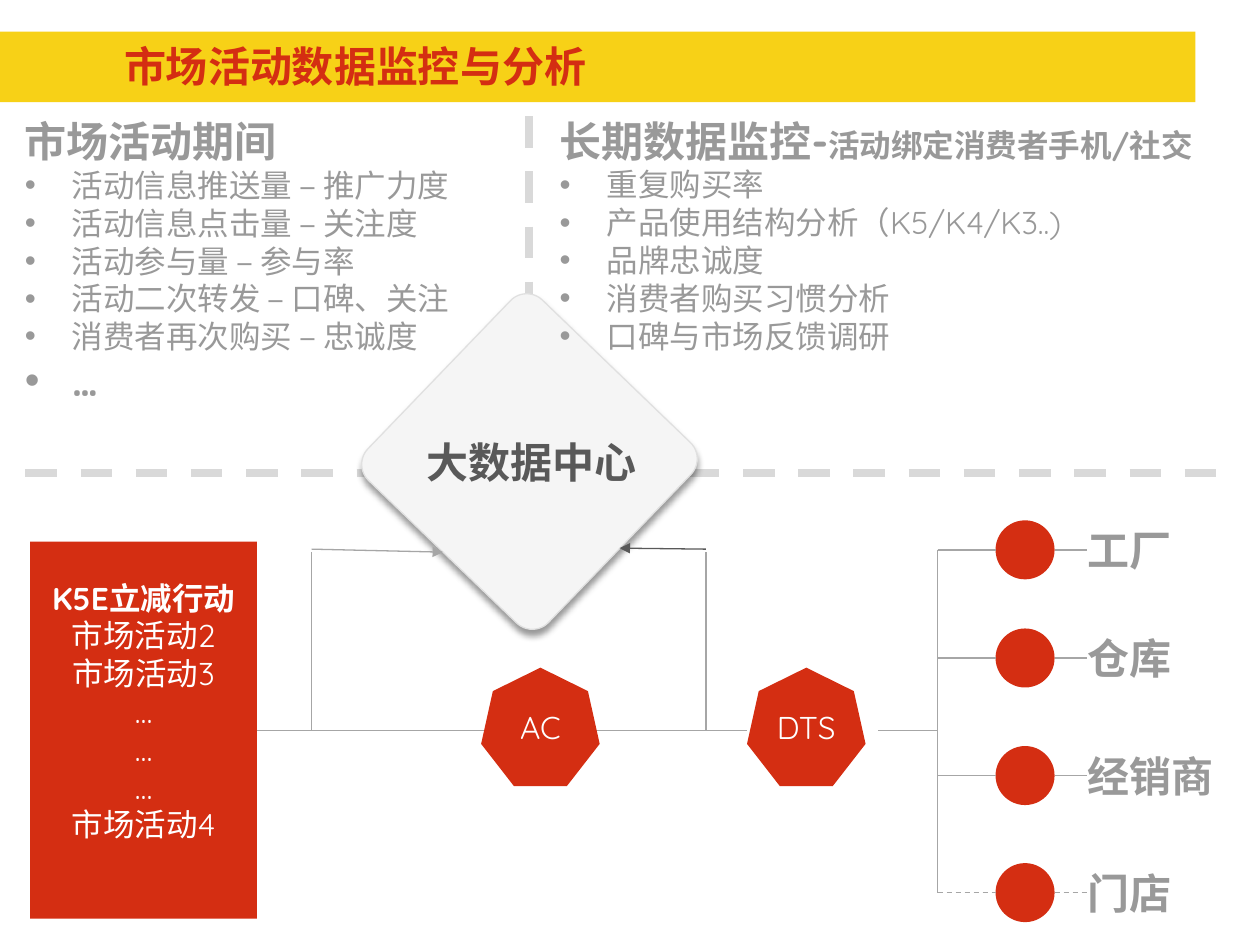
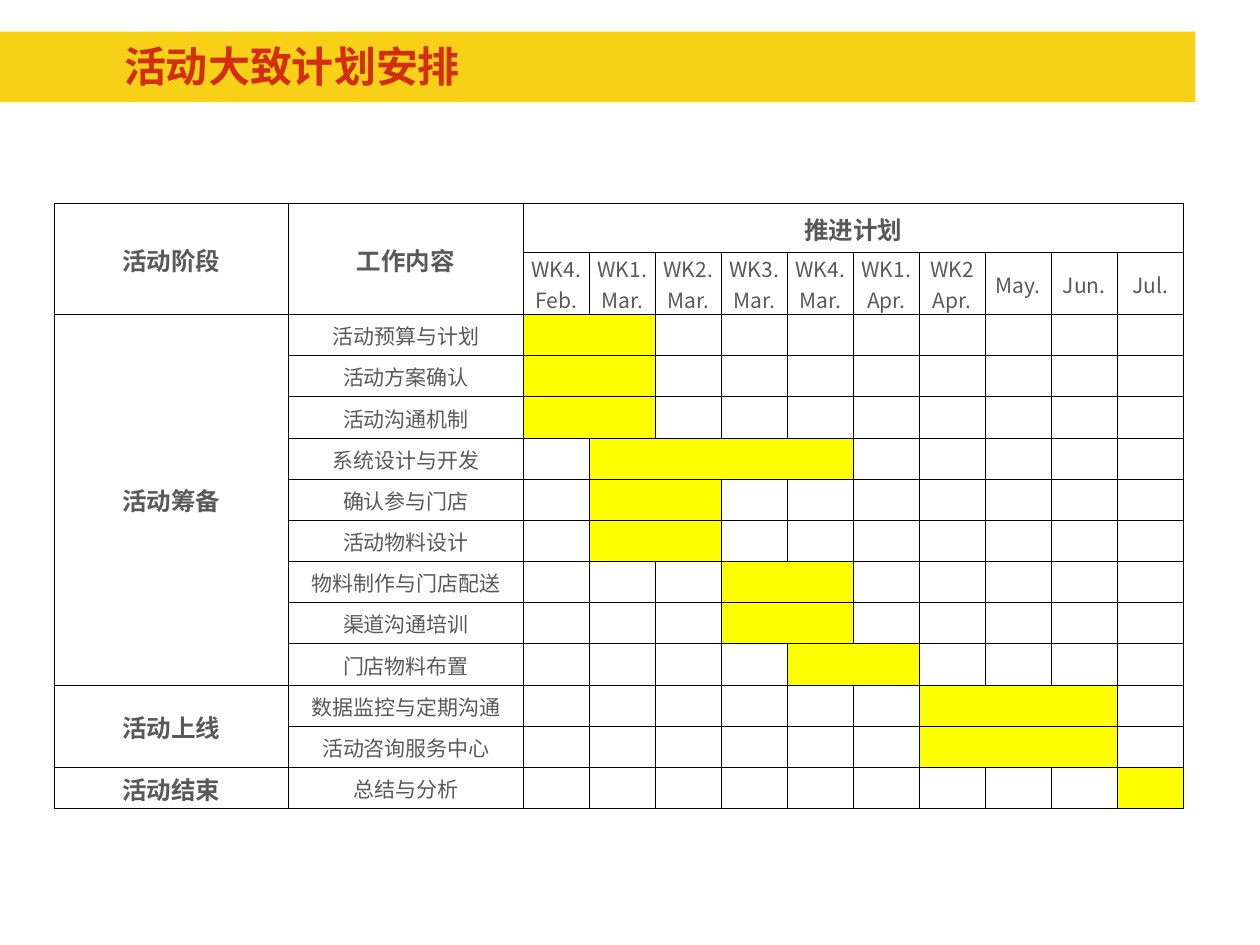
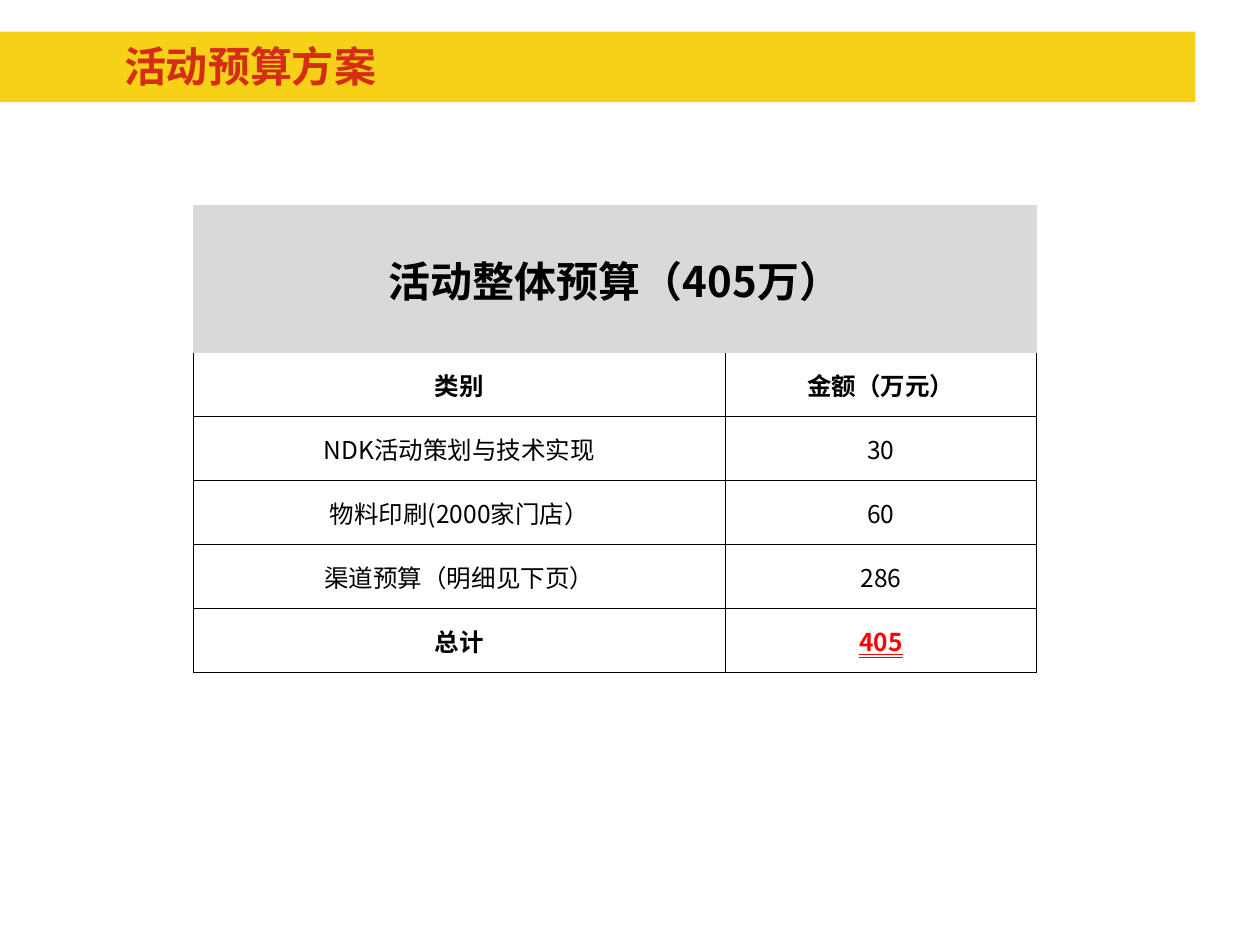
import collections

import pptx
import pptx.dml.color
import pptx.enum.dml
import pptx.enum.shapes
import pptx.enum.text
import pptx.oxml.ns
import pptx.oxml.xmlchemy
import pptx.util

Cm, Pt = pptx.util.Cm, pptx.util.Pt
SHAPE = pptx.enum.shapes.MSO_SHAPE
ALIGN = pptx.enum.text.PP_ALIGN
ANCHOR = pptx.enum.text.MSO_ANCHOR
AUTO = pptx.enum.text.MSO_AUTO_SIZE
UNDERLINE = pptx.enum.text.MSO_UNDERLINE

RED, YELLOW, WHITE, BLACK = "D42E12", "F7D117", "FFFFFF", "000000"
DARK, MID, RULE, PALE = "595959", "999999", "A6A6A6", "D9D9D9"
BAR, ALERT = "FFFF00", "FF0000"
DISPLAY, CJK = "Quicksand", "Noto Sans CJK SC"
TITLE_ONLY, TWO_CONTENT = 5, 3
NO_GRID = "{2D5ABB26-0587-4C30-8999-92F81FD0307C}"

Box = collections.namedtuple("Box", "left top width height")


# Shared helpers

def rgb(value):
    return pptx.dml.color.RGBColor.from_string(value)


def add_xml(parent, tag, index=None, **attributes):
    child = pptx.oxml.xmlchemy.OxmlElement(tag)
    for key, value in attributes.items():
        child.set(key, str(value))
    parent.insert(len(parent) if index is None else index, child)
    return child


def place(shape, box):
    shape.left, shape.top, shape.width, shape.height = map(Cm, box)


def add_run(paragraph, text, size, color, bold=False, font=DISPLAY):
    run = paragraph.add_run()
    run.text = text
    run.font.size, run.font.bold, run.font.name = Pt(size), bold, font
    run.font.color.rgb = rgb(color)
    add_xml(run.font._element, "a:ea", typeface=CJK)
    return run


def add_paragraph(frame, index):
    return frame.add_paragraph() if index else frame.paragraphs[0]


def clear_margins(frame):
    frame.margin_left = frame.margin_top = 0
    frame.margin_right = frame.margin_bottom = 0
    frame.word_wrap = True


def add_solid(slide, kind, box, fill, outline=None):
    solid = slide.shapes.add_shape(kind, *map(Cm, box))
    solid.shadow.inherit = False
    solid.fill.solid()
    solid.fill.fore_color.rgb = rgb(fill)
    if outline:
        solid.line.color.rgb = rgb(outline)
        solid.line.width = Pt(0.75)
    else:
        solid.line.fill.background()
    return solid


def add_line(slide, x1, y1, x2, y2, color=RULE, weight=0.75, dash=False, arrow=False):
    line = slide.shapes.add_connector(
        pptx.enum.shapes.MSO_CONNECTOR.STRAIGHT, Cm(x1), Cm(y1), Cm(x2), Cm(y2))
    line.line.color.rgb = rgb(color)
    line.line.width = Pt(weight)
    if dash:
        line.line.dash_style = pptx.enum.dml.MSO_LINE.DASH
    if arrow:
        add_xml(line.line._get_or_add_ln(), "a:tailEnd", type="triangle")
    add_xml(line._element.spPr, "a:effectLst")
    return line


def add_label(slide, box, text, color):
    label = slide.shapes.add_textbox(*map(Cm, box))
    clear_margins(label.text_frame)
    label.text_frame.auto_size = AUTO.SHAPE_TO_FIT_TEXT
    add_run(label.text_frame.paragraphs[0], text, 24, color, True)
    return label


def add_band(master, slide):
    """Draw the title band and hand it to the master, behind its placeholders."""
    band = add_solid(slide, SHAPE.RECTANGLE, Box(0, 0.64, 24.1, 1.42), YELLOW)
    master.shapes.element.insert(2, band.element)


def add_titled_slide(deck, layout, text):
    slide = deck.slides.add_slide(deck.slide_layouts[layout])
    title = slide.shapes.title
    place(title, Box(2.5, 0.81, 21.39, 1.17))
    frame = title.text_frame
    clear_margins(frame)
    frame.auto_size = AUTO.NONE
    frame.vertical_anchor = ANCHOR.TOP
    frame.paragraphs[0].alignment = ALIGN.LEFT
    add_run(frame.paragraphs[0], text, 24, RED, True)
    return slide


# Monitoring slide

def fill_list(slide, placeholder_index, box, paragraphs):
    """Each paragraph is a list of (text, size, bold); the first is the heading."""
    holder = slide.placeholders[placeholder_index]
    place(holder, box)
    slide.shapes.element.append(holder.element)
    frame = holder.text_frame
    clear_margins(frame)
    frame.auto_size = AUTO.SHAPE_TO_FIT_TEXT
    for index, runs in enumerate(paragraphs):
        paragraph = add_paragraph(frame, index)
        props = paragraph._p.get_or_add_pPr()
        indent = Cm(0.95) if index else 0
        props.set("marL", str(indent))
        props.set("indent", str(-indent))
        if index:
            add_xml(props, "a:buFont", typeface="Arial")
            add_xml(props, "a:buChar", char="•")
        else:
            add_xml(props, "a:buNone")
        paragraph.space_before = Pt(0)
        for text, size, bold in runs:
            add_run(paragraph, text, size, MID, bold)


def draw_campaigns(slide, box, campaigns):
    panel = add_solid(slide, SHAPE.RECTANGLE, box, RED)
    frame = panel.text_frame
    frame.word_wrap = True
    frame.vertical_anchor = ANCHOR.MIDDLE
    frame.margin_bottom = Cm(0.9)
    for index, campaign in enumerate(campaigns):
        paragraph = add_paragraph(frame, index)
        paragraph.alignment = ALIGN.CENTER
        add_run(paragraph, campaign, 18, WHITE, index == 0)
    return panel


def draw_hub(slide, box):
    diamond = add_solid(slide, SHAPE.ROUNDED_RECTANGLE, box, "F5F5F5", "E0E0E0")
    diamond.adjustments[0] = 0.09
    diamond.rotation = 43.9
    effects = diamond._element.spPr.find(pptx.oxml.ns.qn("a:effectLst"))
    shadow = add_xml(effects, "a:outerShdw", blurRad=Pt(4), dist=Pt(3),
                     dir=90 * 60000, rotWithShape=0)
    add_xml(add_xml(shadow, "a:srgbClr", val=BLACK), "a:alpha", val=40000)
    add_label(slide, Box(box.left + 0.44, box.top + 2.03, 4.8, 1.02), "大数据中心", DARK)


def draw_systems(slide, box):
    for name, offset in (("DTS", box.width - box.height), ("AC", 0)):
        system = add_solid(slide, SHAPE.HEPTAGON,
                           Box(box.left + offset, box.top, box.height, box.height), RED)
        frame = system.text_frame
        frame.vertical_anchor = ANCHOR.MIDDLE
        frame.paragraphs[0].alignment = ALIGN.CENTER
        add_run(frame.paragraphs[0], name, 18, WHITE)


def draw_channels(slide, box):
    """Trunk on the left, one node and label for each channel."""
    channels = (("工厂", 0), ("仓库", 2.18), ("经销商", 4.55), ("门店", 6.91))
    node_size, label_height = 1.19, 1.02
    trunk, node_left = box.left + 1.2, box.left + 2.37
    first = box.top + node_size / 2
    add_line(slide, trunk, first, trunk, first + channels[-1][1])
    add_line(slide, box.left, box.top + 4.24, trunk, box.top + 4.24)
    for name, offset in channels:
        middle = first + offset
        dashed = name == "门店"
        add_solid(slide, SHAPE.OVAL,
                  Box(node_left, box.top + offset, node_size, node_size), RED)
        label = add_label(slide, Box(box.left + 4.22, middle - label_height / 2,
                                     2.95, label_height), name, MID)
        add_line(slide, trunk, middle, node_left, middle, dash=dashed)
        link = add_line(slide, node_left + node_size, middle, box.left + 4.22, middle,
                        dash=dashed)
        link.end_connect(label, 1)


def draw_feeds(slide, box):
    """Two risers from the rail, each with an arrow into the hub."""
    right, bottom = box.left + box.width, box.top + box.height
    for riser in (box.left, right):
        add_line(slide, riser, bottom, riser, box.top + 0.06)
    add_line(slide, box.left, box.top, box.left + 2.65, box.top + 0.06, arrow=True)
    add_line(slide, right, box.top, right - 1.74, box.top - 0.02, DARK, arrow=True)


def build_monitoring(deck):
    slide = add_titled_slide(deck, TWO_CONTENT, "市场活动数据监控与分析")
    add_line(slide, 10.67, 2.34, 10.67, 6.12, PALE, 4.5, dash=True)
    campaigns = draw_campaigns(slide, Box(0.61, 10.92, 4.57, 7.6), (
        "K5E立减行动", "市场活动2", "市场活动3", "…", "…", "…", "市场活动4"))
    rail = add_line(slide, 5.18, 14.72, 15.06, 14.72)
    rail.begin_connect(campaigns, 3)
    add_line(slide, 0.51, 9.53, 24.89, 9.53, PALE, 4.5, dash=True)
    draw_hub(slide, Box(8.15, 6.78, 5.05, 5.05))
    draw_systems(slide, Box(9.7, 13.46, 7.75, 2.39))
    draw_channels(slide, Box(17.7, 10.49, 7.17, 8.1))
    draw_feeds(slide, Box(6.28, 11.07, 7.95, 3.65))

    campaign_metrics = ("活动信息推送量 – 推广力度", "活动信息点击量 – 关注度",
                        "活动参与量 – 参与率", "活动二次转发 – 口碑、关注",
                        "消费者再次购买 – 忠诚度")
    long_term_metrics = ("重复购买率", "产品使用结构分析（K5/K4/K3..)", "品牌忠诚度",
                         "消费者购买习惯分析", "口碑与市场反馈调研")
    fill_list(slide, 1, Box(0.5, 2.33, 9.58, 5.89),
              [[("市场活动期间", 24, True)]]
              + [[(metric, 18, False)] for metric in campaign_metrics]
              + [[("…", 24, True)]])
    fill_list(slide, 2, Box(11.28, 2.32, 14.43, 4.88),
              [[("长期数据监控-", 24, True), ("活动绑定消费者手机/社交", 18, True)]]
              + [[(metric, 18, False)] for metric in long_term_metrics])
    return slide


# Tables

def add_grid(slide, left, top, widths, heights):
    """Add an unfilled table whose cells all have thin black borders."""
    table = slide.shapes.add_table(len(heights), len(widths), Cm(left), Cm(top),
                                   Cm(sum(widths)), Cm(sum(heights))).table
    table.first_row = table.horz_banding = False
    table._tbl.tblPr.find(pptx.oxml.ns.qn("a:tableStyleId")).text = NO_GRID
    for column, width in zip(table.columns, widths):
        column.width = Cm(width)
    for row, height in zip(table.rows, heights):
        row.height = Cm(height)
    for cell in table.iter_cells():
        cell.fill.background()
        cell.vertical_anchor = ANCHOR.MIDDLE
        cell.margin_left = cell.margin_top = cell.margin_right = Cm(0.02)
        cell.margin_bottom = 0
        set_borders(cell)
        add_xml(cell.text_frame.paragraphs[0]._p, "a:endParaRPr", sz=1200)
    return table


def set_borders(cell, sides="LRTB"):
    props = cell._tc.get_or_add_tcPr()
    for side in "LRTB":
        for old in props.findall(pptx.oxml.ns.qn(f"a:ln{side}")):
            props.remove(old)
    for index, side in enumerate(sides):
        edge = add_xml(props, f"a:ln{side}", index, w=Pt(0.5))
        add_xml(add_xml(edge, "a:solidFill"), "a:srgbClr", val=BLACK)


def fill_cell(cell, color):
    cell.fill.solid()
    cell.fill.fore_color.rgb = rgb(color)


def write_cell(cell, text, size, color, bold=False):
    paragraph = cell.text_frame.paragraphs[0]
    paragraph.alignment = ALIGN.CENTER
    for index, line in enumerate(text.split("\n")):
        if index:
            paragraph.add_line_break()
        run = add_run(paragraph, line, size, color, bold, CJK)
    return run


def build_schedule(deck):
    weeks = ("WK4.\nFeb.", "WK1.\nMar.", "WK2.\nMar.", "WK3.\nMar.", "WK4.\nMar.",
             "WK1.\nApr.", "WK2\nApr.", "May.", "Jun.", "Jul.")
    # Each task: name, first period, number of periods
    stages = (
        ("活动筹备", (("活动预算与计划", 0, 2), ("活动方案确认", 0, 2),
                  ("活动沟通机制", 0, 2), ("系统设计与开发", 1, 4),
                  ("确认参与门店", 1, 2), ("活动物料设计", 1, 2),
                  ("物料制作与门店配送", 3, 2), ("渠道沟通培训", 3, 2),
                  ("门店物料布置", 4, 2))),
        ("活动上线", (("数据监控与定期沟通", 6, 3), ("活动咨询服务中心", 6, 3))),
        ("活动结束", (("总结与分析", 9, 1),)),
    )
    slide = add_titled_slide(deck, TITLE_ONLY, "活动大致计划安排")
    task_count = sum(len(tasks) for _, tasks in stages)
    table = add_grid(slide, 1.09, 4.1, [4.73] * 2 + [1.33] * len(weeks),
                     [0.99, 1.25] + [0.83] * task_count)

    # Headings
    for column, heading in enumerate(("活动阶段", "工作内容", "推进计划")):
        write_cell(table.cell(0, column), heading, 14, DARK, True)
    for column in (0, 1):
        table.cell(0, column).merge(table.cell(1, column))
    table.cell(0, 2).merge(table.cell(0, len(weeks) + 1))
    for column, week in enumerate(weeks, 2):
        write_cell(table.cell(1, column), week, 12, DARK)

    # Stages, tasks and bars
    row = 2
    for stage, tasks in stages:
        stage_cell = table.cell(row, 0)
        write_cell(stage_cell, stage, 14, DARK, True)
        if len(tasks) > 1:
            stage_cell.merge(table.cell(row + len(tasks) - 1, 0))
        for task, start, span in tasks:
            write_cell(table.cell(row, 1), task, 12, DARK)
            bar = table.cell(row, start + 2)
            fill_cell(bar, BAR)
            if span > 1:
                bar.merge(table.cell(row, start + span + 1))
            row += 1


def build_budget(deck):
    rows = (("类别", "金额（万元）"), ("NDK活动策划与技术实现", "30"),
            ("物料印刷(2000家门店）", "60"), ("渠道预算（明细见下页）", "286"),
            ("总计", "405"))
    slide = add_titled_slide(deck, TITLE_ONLY, "活动预算方案")
    table = add_grid(slide, 3.9, 4.13, (10.72, 6.28), [2.98] + [1.29] * len(rows))
    heading = table.cell(0, 0)
    write_cell(heading, "活动整体预算（405万）", 24, BLACK, True)
    for column in (0, 1):
        fill_cell(table.cell(0, column), PALE)
        set_borders(table.cell(0, column), "")
        set_borders(table.cell(1, column), "LRB")
    heading.merge(table.cell(0, 1))
    for row, (category, amount) in enumerate(rows, 1):
        total = row == len(rows)
        bold = total or row == 1
        write_cell(table.cell(row, 0), category, 14, BLACK, bold)
        figure = write_cell(table.cell(row, 1), amount, 14, ALERT if total else BLACK, bold)
        if total:
            figure.font.underline = UNDERLINE.DOUBLE_LINE


def main():
    deck = pptx.Presentation()
    deck.slide_width, deck.slide_height = Cm(25.4), Cm(19.05)
    monitoring = build_monitoring(deck)
    add_band(deck.slide_master, monitoring)
    build_schedule(deck)
    build_budget(deck)
    deck.save("out.pptx")


if __name__ == "__main__":
    main()
